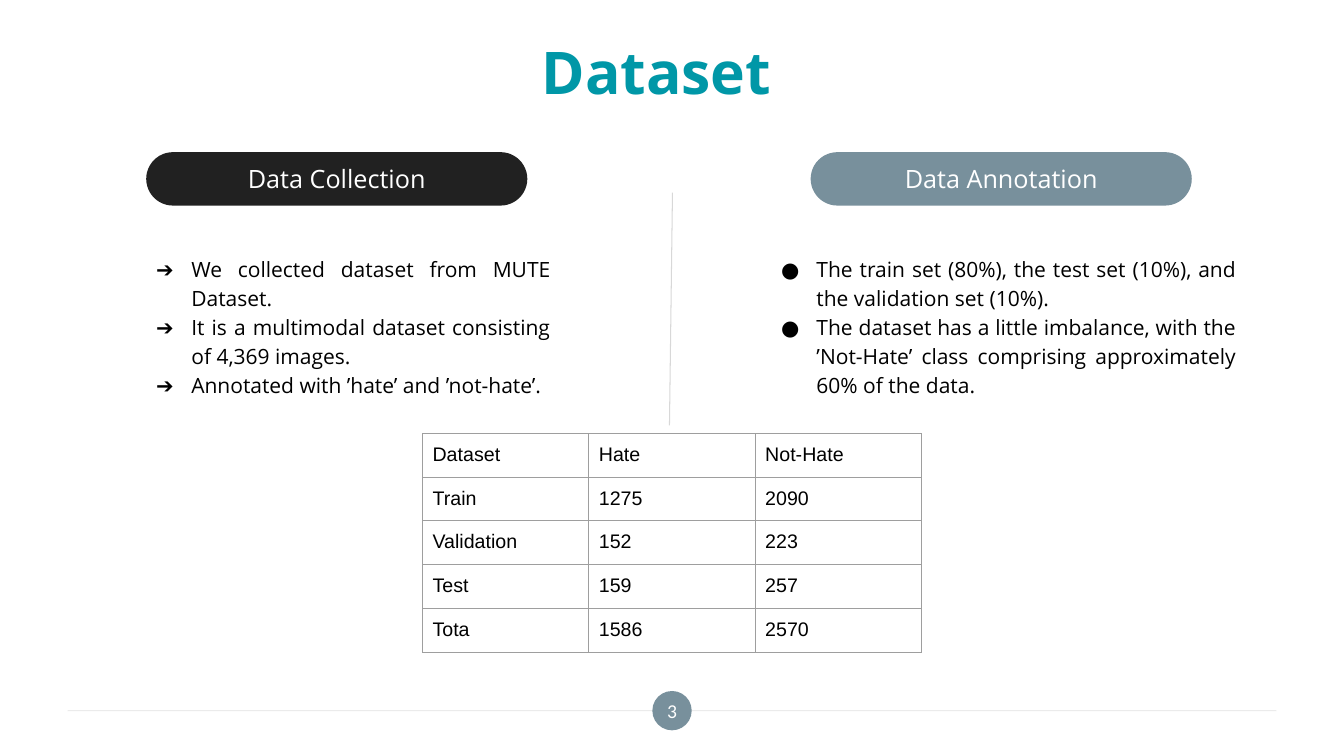
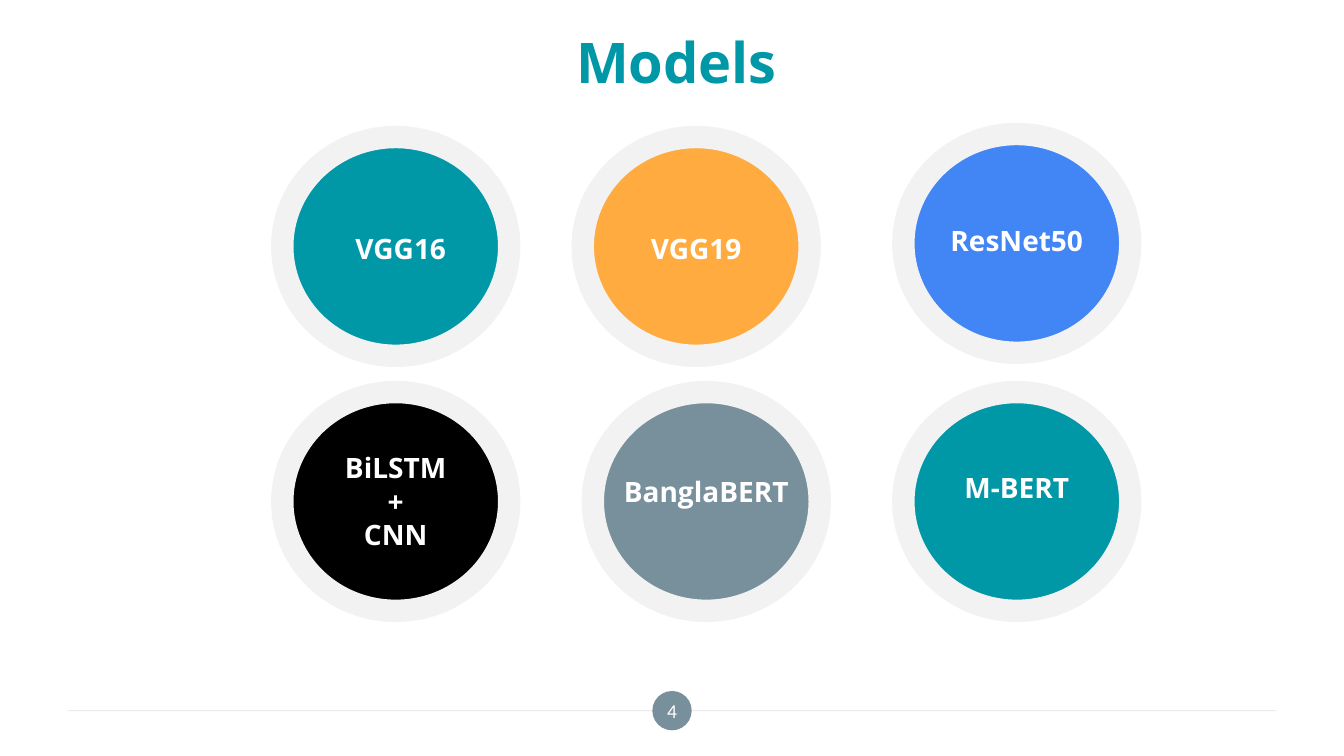
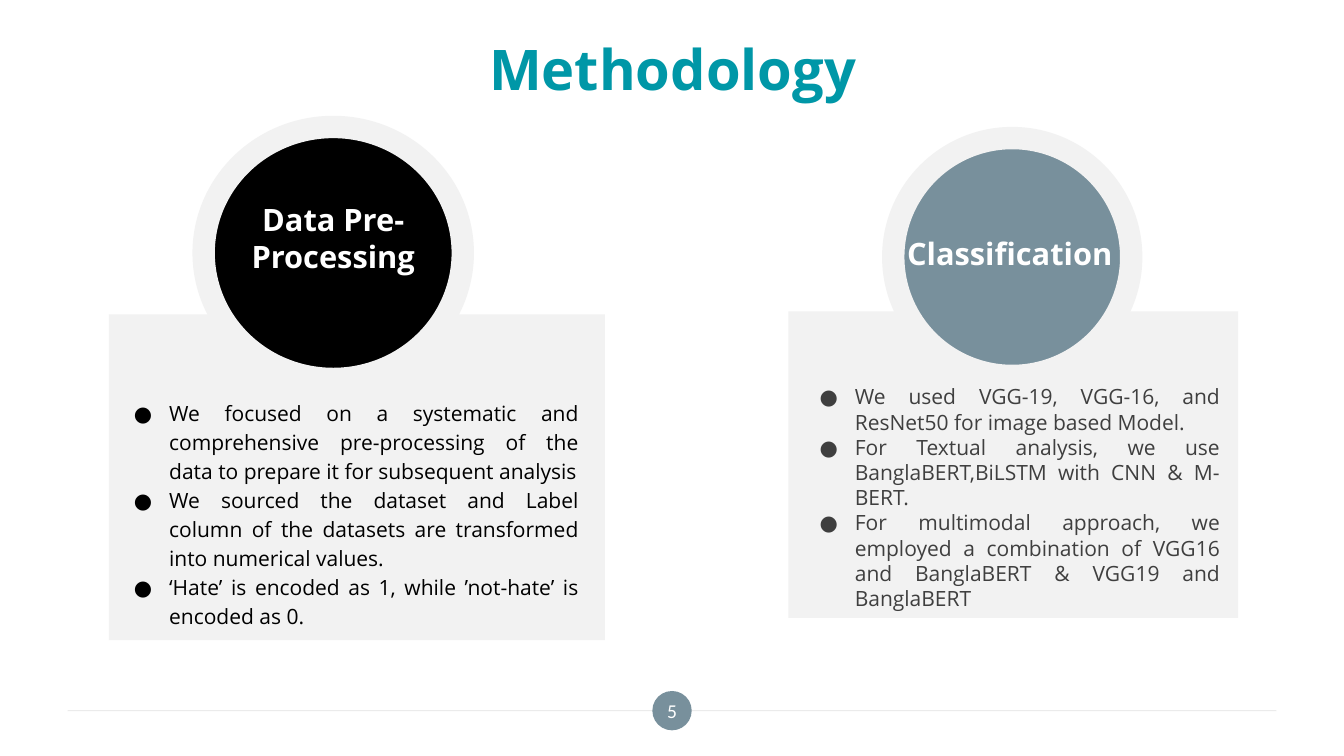
from pptx import Presentation
from pptx.dml.color import RGBColor
from pptx.enum.shapes import MSO_CONNECTOR as Connector, MSO_SHAPE as Shape
from pptx.enum.text import MSO_ANCHOR as Anchor, PP_ALIGN as Align
from pptx.oxml.ns import qn
from pptx.util import Inches, Pt
from lxml.etree import SubElement

WIDTH, HEIGHT = 13.33, 7.5
TEAL, SLATE, CHARCOAL, BLACK, WHITE = "0097A7", "78909C", "212121", "000000", "FFFFFF"
ORANGE, BLUE, PALE, RULE, GRID, GREY = "FFAB40", "4285F4", "F2F2F2", "D8D8D8", "9E9E9E", "3F3F3F"
SANS, ARIAL, CALIBRI = "Open Sans", "Arial", "Calibri"
RING = 16

TITLES = [
    ("Dataset", 42, 0.51, 0.31),
    ("Models", 40, 0.71, 0.22),
    ("Methodology", 40, 0.67, 0.29),
]
FIRST_PAGE = 3

DATA_TOPICS = [
    dict(heading="Data Collection", color=CHARCOAL, pill_left=1.45, notes_at=(1.3, 2.46, 4.26, 1.63),
         bullet="➔", notes=[
             "We collected dataset from MUTE Dataset.",
             "It is a multimodal dataset consisting of 4,369 images.",
             "Annotated with ’hate’ and ’not-hate’."]),
    dict(heading="Data Annotation", color=SLATE, pill_left=8.04, notes_at=(7.5, 2.46, 4.86, 1.63),
         bullet="●", notes=[
             "The train set (80%), the test set (10%), and the validation set (10%).",
             "The dataset has a little imbalance, with the ’Not-Hate’ class comprising "
             "approximately 60% of the data."]),
]
CLASS_COUNTS = [
    ("Dataset", "Hate", "Not-Hate"),
    ("Train", "1275", "2090"),
    ("Validation", "152", "223"),
    ("Test", "159", "257"),
    ("Tota", "1586", "2570"),
]
COUNT_COLUMN, COUNT_ROW = 1.65, 0.42

MODEL_SIZE = (2.25, 2.17)
MODEL_ORIGIN, MODEL_STEP = (2.8, 1.36), (3.08, 2.53)
MODELS = [
    [("VGG16", TEAL, (0, 0), (0.05, 0.89)),
     ("VGG19", ORANGE, (-0.1, 0), (0, 0.89)),
     ("ResNet50", BLUE, (0, -0.03), (0, 0.84))],
    [("BiLSTM\n+\nCNN", BLACK, (0, 0), (0, 0.53)),
     ("BanglaBERT", SLATE, (0, 0), (0, 0.77)),
     ("M-BERT", TEAL, (0, 0), (0, 0.73))],
]

STAGES = [
    dict(heading="Data Pre-Processing", color=BLACK, panel=(1.08, 3.12, 4.92, 3.23),
         disc=(2.02, 1.26, 2.57, 2.5), heading_at=(2.02, 1.94, 2.57, 0.88),
         steps_at=(1.08, 3.89, 4.76, 2.43), steps_color=BLACK, spacing=1.15, steps=[
             "We focused on a systematic and comprehensive pre-processing of the data "
             "to prepare it for subsequent analysis",
             "We sourced the dataset and Label column of the datasets are transformed "
             "into numerical values.",
             "‘Hate’ is encoded as 1, while ’not-hate’ is encoded as 0."]),
    dict(heading="Classification", color=SLATE, panel=(7.82, 3.09, 4.46, 3.04),
         disc=(8.86, 1.37, 2.36, 2.36), heading_at=(8.88, 2.28, 2.27, 0.54),
         steps_at=(7.88, 3.76, 4.32, 2.5), steps_color=GREY, spacing=1.0, steps=[
             "We used VGG-19, VGG-16, and ResNet50 for image based Model.",
             "For Textual analysis, we use BanglaBERT,BiLSTM with CNN & M-BERT.",
             "For multimodal approach, we employed a combination of VGG16 and BanglaBERT "
             "& VGG19 and BanglaBERT"]),
]


def rgb(color):
    return RGBColor.from_string(color)


def inches(lengths):
    return [Inches(length) for length in lengths]


def write(frame, text, size, color=WHITE, font=SANS, bold=False, align=Align.CENTER,
          bullet=None, spacing=None):
    frame.text = text
    for paragraph in frame.paragraphs:
        paragraph.alignment = align
        if spacing:
            paragraph.line_spacing = spacing
        if bullet:
            properties = paragraph._p.get_or_add_pPr()
            properties.set("marL", str(Inches(0.5)))
            properties.set("indent", str(Inches(-0.35)))
            SubElement(SubElement(properties, qn("a:buClr")), qn("a:srgbClr")).set("val", color)
            SubElement(properties, qn("a:buFont")).set("typeface", font)
            SubElement(properties, qn("a:buChar")).set("char", bullet)
        for run in paragraph.runs:
            run.font.size, run.font.name, run.font.bold = Pt(size), font, bold
            run.font.color.rgb = rgb(color)


def add_label(slide, place, text, size, anchor=Anchor.TOP, **style):
    frame = slide.shapes.add_textbox(*inches(place)).text_frame
    frame.word_wrap = True
    frame.vertical_anchor = anchor
    write(frame, text, size, **style)


def add_block(slide, kind, place, fill, ring=None):
    block = slide.shapes.add_shape(kind, *inches(place))
    block.shadow.inherit = False
    block.fill.solid()
    block.fill.fore_color.rgb = rgb(fill)
    if ring:
        block.line.color.rgb = rgb(ring)
        block.line.width = Pt(RING)
    else:
        block.line.fill.background()
    return block


def add_rule(slide, start, end, opacity=100):
    rule = slide.shapes.add_connector(Connector.STRAIGHT, *inches(start + end))
    rule.line.color.rgb = rgb(RULE)
    rule.line.width = Pt(0.75)
    properties = rule._element.spPr
    if opacity < 100:
        shade = next(properties.iter(qn("a:srgbClr")))
        SubElement(shade, qn("a:alpha")).set("val", str(opacity * 1000))
    SubElement(properties, qn("a:effectLst"))


def start_slide(deck, page, title, size, left, top):
    slide = deck.slides.add_slide(deck.slide_layouts[6])
    badge, middle, margin = 0.39, 7.05, 0.67
    add_rule(slide, (margin, middle), (WIDTH - margin, middle), opacity=50)
    number = add_block(slide, Shape.OVAL, ((WIDTH - badge) / 2, middle - badge / 2, badge, badge), SLATE)
    frame = number.text_frame
    frame.margin_left = frame.margin_right = frame.margin_top = frame.margin_bottom = 0
    frame.vertical_anchor = Anchor.MIDDLE
    write(frame, str(page), 14, font=CALIBRI)
    add_label(slide, (left, top, 12, 0.78), title, size, Anchor.MIDDLE, color=TEAL, bold=True)
    return slide


def add_counts(slide):
    rows, columns = len(CLASS_COUNTS), len(CLASS_COUNTS[0])
    place = (4.19, 4.3, columns * COUNT_COLUMN, rows * COUNT_ROW)
    table = slide.shapes.add_table(rows, columns, *inches(place)).table
    table.first_row = table.horz_banding = False
    for row, counts in enumerate(CLASS_COUNTS):
        for column, count in enumerate(counts):
            cell = table.cell(row, column)
            cell.margin_left = cell.margin_right = Inches(0.1)
            cell.margin_top = cell.margin_bottom = Inches(0.1)
            write(cell.text_frame, count, 14, color=BLACK, font=ARIAL, align=Align.LEFT)
            properties = cell._tc.get_or_add_tcPr()
            for side in ("lnL", "lnR", "lnT", "lnB"):
                edge = SubElement(properties, qn("a:" + side), w=str(Pt(0.75)))
                SubElement(SubElement(edge, qn("a:solidFill")), qn("a:srgbClr")).set("val", GRID)
            cell.fill.background()


def fill_dataset(slide):
    add_rule(slide, (6.67, 1.91), (6.64, 4.22))
    for topic in DATA_TOPICS:
        pill = add_block(slide, Shape.ROUNDED_RECTANGLE, (topic["pill_left"], 1.51, 3.78, 0.53), topic["color"])
        pill.adjustments[0] = 0.5
        pill.text_frame.vertical_anchor = Anchor.MIDDLE
        write(pill.text_frame, topic["heading"], 18)
        add_label(slide, topic["notes_at"], "\n".join(topic["notes"]), 15, color=BLACK,
                  align=Align.JUSTIFY, bullet=topic["bullet"], spacing=1.15)
    add_counts(slide)


def fill_models(slide):
    width, height = MODEL_SIZE
    name_width = 1.9
    for row, models in enumerate(MODELS):
        for column, (name, color, nudge, name_shift) in enumerate(models):
            left = MODEL_ORIGIN[0] + column * MODEL_STEP[0] + nudge[0]
            top = MODEL_ORIGIN[1] + row * MODEL_STEP[1] + nudge[1]
            add_block(slide, Shape.OVAL, (left, top, width, height), color, PALE)
            name_left = left + (width - name_width) / 2 + name_shift[0]
            lines = name.count("\n") + 1
            add_label(slide, (name_left, top + name_shift[1], name_width, 0.1 + lines * 0.34),
                      name, 20, bold=True)


def fill_methodology(slide):
    for stage in STAGES:
        add_block(slide, Shape.RECTANGLE, stage["panel"], PALE)
        add_block(slide, Shape.OVAL, stage["disc"], stage["color"], PALE)
        add_label(slide, stage["heading_at"], stage["heading"], 22, bold=True)
        add_label(slide, stage["steps_at"], "\n".join(stage["steps"]), 15, color=stage["steps_color"],
                  align=Align.JUSTIFY, bullet="●", spacing=stage["spacing"])


def main():
    deck = Presentation()
    deck.slide_width, deck.slide_height = inches((WIDTH, HEIGHT))
    fillers = (fill_dataset, fill_models, fill_methodology)
    for page, (title, fill) in enumerate(zip(TITLES, fillers), FIRST_PAGE):
        fill(start_slide(deck, page, *title))
    deck.save("out.pptx")


if __name__ == "__main__":
    main()
